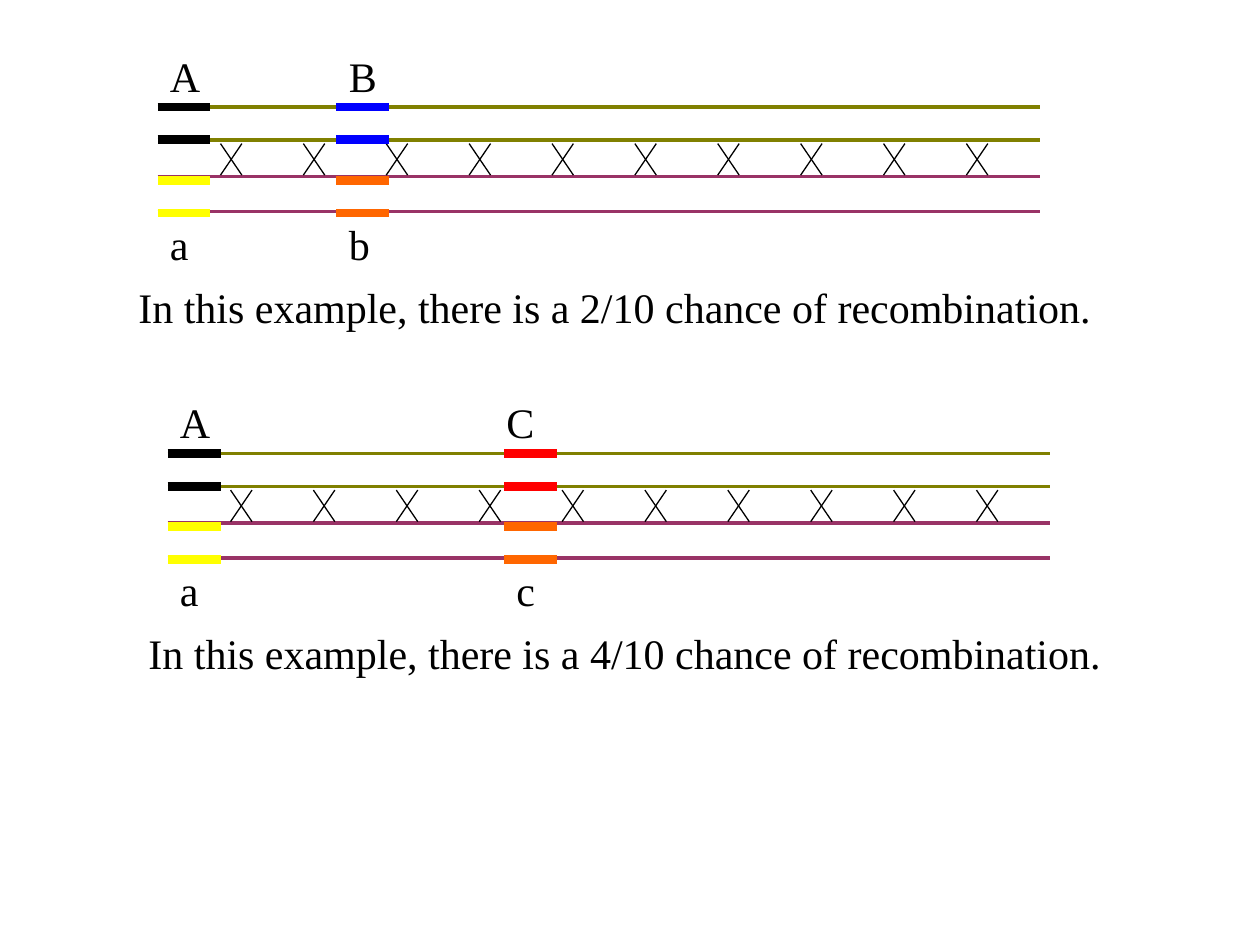
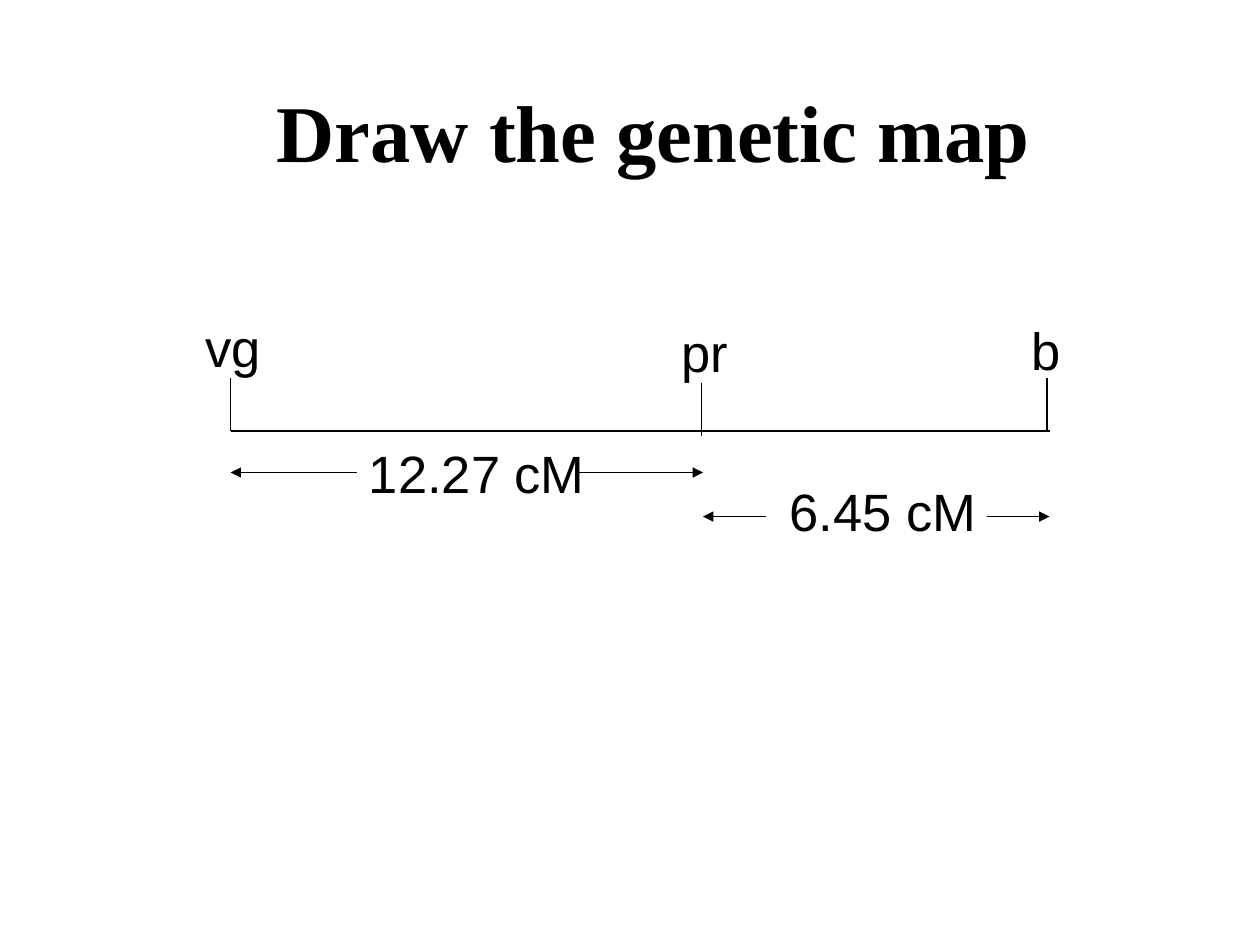
from dataclasses import dataclass

from lxml import etree
from pptx import Presentation
from pptx.dml.color import RGBColor
from pptx.enum.shapes import MSO_CONNECTOR
from pptx.enum.text import MSO_ANCHOR
from pptx.oxml.ns import qn
from pptx.shapes.connector import Connector
from pptx.slide import Slide
from pptx.util import Inches, Pt

STRAIGHT = MSO_CONNECTOR.STRAIGHT
BOTTOM = MSO_ANCHOR.BOTTOM

BLACK = "000000"
OLIVE = "808000"
PLUM = "993366"
BLUE = "0000FF"
RED = "FF0000"
YELLOW = "FFFF00"
ORANGE = "FF6600"
SERIF = "Times New Roman"
SANS = "Arial"

THIN = 0.75
STRAND_WEIGHT = 2
LOCUS_WEIGHT = 5
STRAND_LENGTH = 7
LOCUS_LENGTH = 0.42
STRANDS = ((0, OLIVE), (0.26, OLIVE), (0.55, PLUM), (0.83, PLUM))
UPPER_LOCUS_ROWS = (0, 0.26)
LOWER_LOCUS_ROWS = (0.58, 0.84)
CROSSOVER_COUNT = 10
CROSSOVER_START = 0.5
CROSSOVER_STEP = 5.92 / (CROSSOVER_COUNT - 1)
CROSSOVER_WIDTH = 0.17
CROSSOVER_TOP = 0.29
CROSSOVER_BOTTOM = 0.54


@dataclass(frozen=True)
class TextStyle:
    font: str
    size: float
    height: float
    bold: bool = False


@dataclass(frozen=True)
class Locus:
    offset: float
    upper_allele: str
    lower_allele: str
    upper_color: str
    lower_color: str
    upper_label_shift: float = 0


@dataclass(frozen=True)
class Tetrad:
    left: float
    top: float
    loci: tuple[Locus, ...]
    caption: str


@dataclass(frozen=True)
class MapGene:
    name: str
    x: float
    tick_top: float
    label_left: float
    label_top: float


@dataclass(frozen=True)
class MapDistance:
    text: str
    left: float
    right: float
    y: float
    arrow_length: float
    label_left: float
    label_top: float


BODY = TextStyle(SERIF, 24, 0.5)
TITLE = TextStyle(SERIF, 46, 0.87, bold=True)
MAP_LABEL = TextStyle(SANS, 30, 0.6)

LOCUS_A = Locus(0, "A", "a", BLACK, YELLOW)
LOCUS_B = Locus(1.42, "B", "b", BLUE, ORANGE)
LOCUS_C = Locus(2.67, "C", "c", RED, ORANGE, -0.08)

TETRADS = (
    Tetrad(1.25, 0.85, (LOCUS_A, LOCUS_B),
           "In this example, there is a 2/10 chance of recombination."),
    Tetrad(1.33, 3.6, (LOCUS_A, LOCUS_C),
           "In this example, there is a 4/10 chance of recombination."),
)
GENES = (
    MapGene("vg", 1.83, 3, 1.53, 2.45),
    MapGene("pr", 5.57, 3.04, 5.31, 2.49),
    MapGene("b", 8.31, 3, 8.09, 2.47),
)
DISTANCES = (
    MapDistance("12.27 cM", 1.83, 5.58, 3.75, 1, 2.83, 3.45),
    MapDistance("6.45 cM", 5.58, 8.33, 4.1, 0.5, 6.17, 3.75),
)


def rgb(color: str) -> RGBColor:
    return RGBColor.from_string(color)


def add_line(slide: Slide, x1: float, y1: float, x2: float, y2: float,
             color: str = BLACK, weight: float = THIN) -> Connector:
    line = slide.shapes.add_connector(
        STRAIGHT, Inches(x1), Inches(y1), Inches(x2), Inches(y2))
    line.line.color.rgb = rgb(color)
    line.line.width = Pt(weight)
    etree.SubElement(line._element.spPr, qn("a:effectLst"))
    return line


def add_arrow(slide: Slide, start: float, end: float, y: float) -> None:
    arrow = add_line(slide, start, y, end, y)
    outline = arrow.line._get_or_add_ln()
    etree.SubElement(outline, qn("a:tailEnd"), type="triangle")


def add_text(slide: Slide, text: str, left: float, top: float,
             width: float, style: TextStyle) -> None:
    box = slide.shapes.add_textbox(
        Inches(left), Inches(top), Inches(width), Inches(style.height))
    frame = box.text_frame
    frame.word_wrap = True
    frame.vertical_anchor = BOTTOM
    run = frame.paragraphs[0].add_run()
    run.text = text
    run.font.name = style.font
    run.font.size = Pt(style.size)
    run.font.bold = style.bold
    run.font.color.rgb = rgb(BLACK)


def draw_locus(slide: Slide, tetrad: Tetrad, locus: Locus) -> None:
    left = tetrad.left + locus.offset
    for rows, color in ((UPPER_LOCUS_ROWS, locus.upper_color),
                        (LOWER_LOCUS_ROWS, locus.lower_color)):
        for row in rows:
            y = tetrad.top + row
            add_line(slide, left, y, left + LOCUS_LENGTH, y, color, LOCUS_WEIGHT)
    add_text(slide, locus.upper_allele, left + locus.upper_label_shift,
             tetrad.top - 0.5, 0.83, BODY)
    add_text(slide, locus.lower_allele, left, tetrad.top + 0.83, 0.83, BODY)


def draw_tetrad(slide: Slide, tetrad: Tetrad) -> None:
    for row, color in STRANDS:
        y = tetrad.top + row
        add_line(slide, tetrad.left, y, tetrad.left + STRAND_LENGTH, y,
                 color, STRAND_WEIGHT)
    upper = tetrad.top + CROSSOVER_TOP
    lower = tetrad.top + CROSSOVER_BOTTOM
    for index in range(CROSSOVER_COUNT):
        left = tetrad.left + CROSSOVER_START + index * CROSSOVER_STEP
        right = left + CROSSOVER_WIDTH
        add_line(slide, right, upper, left, lower)
        add_line(slide, left, upper, right, lower)
    for locus in tetrad.loci:
        draw_locus(slide, tetrad, locus)
    add_text(slide, tetrad.caption, tetrad.left - 0.25, tetrad.top + 1.33,
             7.83, BODY)


def draw_genetic_map(slide: Slide) -> None:
    add_text(slide, "Draw the genetic map", 2.1, 0.6, 6.3, TITLE)
    add_line(slide, 1.83, 3.42, 8.33, 3.42)
    for gene in GENES:
        add_line(slide, gene.x, gene.tick_top, gene.x, gene.tick_top + 0.42)
        add_text(slide, gene.name, gene.label_left, gene.label_top, 1.07,
                 MAP_LABEL)
    for distance in DISTANCES:
        add_text(slide, distance.text, distance.label_left,
                 distance.label_top, 2.67, MAP_LABEL)
        add_arrow(slide, distance.left + distance.arrow_length,
                  distance.left, distance.y)
        add_arrow(slide, distance.right - distance.arrow_length,
                  distance.right, distance.y)


def main() -> None:
    deck = Presentation()
    deck.slide_width = Inches(10)
    deck.slide_height = Inches(7.5)
    blank = deck.slide_layouts[6]
    recombination = deck.slides.add_slide(blank)
    for tetrad in TETRADS:
        draw_tetrad(recombination, tetrad)
    draw_genetic_map(deck.slides.add_slide(blank))
    deck.save("out.pptx")


if __name__ == "__main__":
    main()
